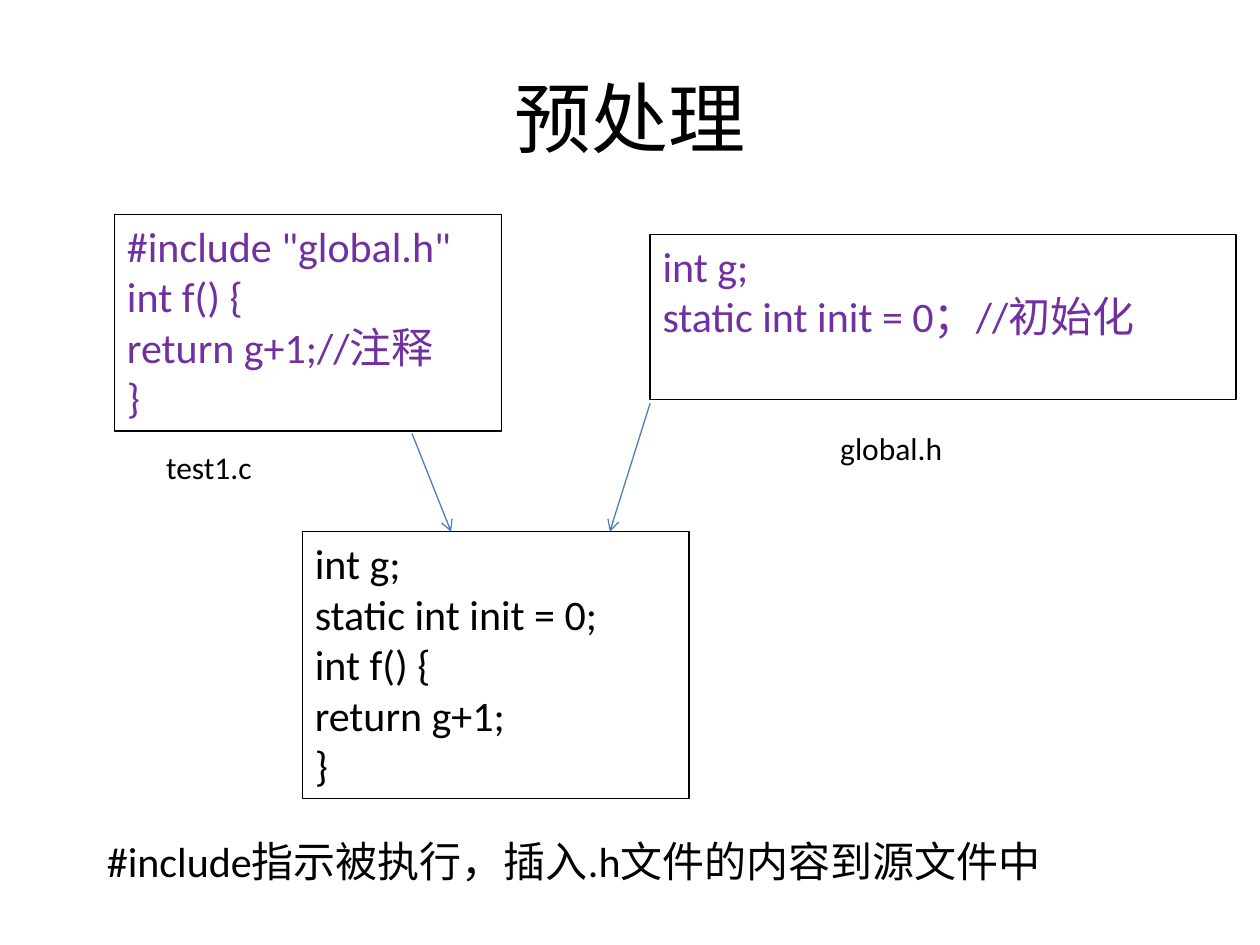
from dataclasses import dataclass

from lxml.etree import SubElement
from pptx import Presentation
from pptx.dml.color import RGBColor
from pptx.enum.shapes import MSO_CONNECTOR, MSO_SHAPE
from pptx.enum.text import MSO_ANCHOR, PP_ALIGN
from pptx.oxml.ns import qn
from pptx.util import Inches, Pt


@dataclass(frozen=True)
class Theme:
    font: str = "Calibri"
    black: RGBColor = RGBColor(0x00, 0x00, 0x00)
    purple: RGBColor = RGBColor(0x70, 0x30, 0xA0)
    blue: RGBColor = RGBColor(0x4B, 0x7E, 0xBC)
    title: int = 44
    body: int = 24
    label: int = 18
    line: float = 0.75


THEME = Theme()


def write(shape, text, size=THEME.body, color=THEME.black, align=PP_ALIGN.LEFT,
          anchor=MSO_ANCHOR.TOP, wrap=True):
    """Fill a shape with text, one paragraph per line."""
    tf = shape.text_frame
    tf.word_wrap = wrap
    tf.vertical_anchor = anchor
    for i, line in enumerate(text.split("\n")):
        p = tf.paragraphs[0] if i == 0 else tf.add_paragraph()
        p.alignment = align
        r = p.add_run()
        r.text = line
        r.font.name = THEME.font
        r.font.size = Pt(size)
        r.font.color.rgb = color


def add_text(s, box, text, **style):
    write(s.shapes.add_textbox(*map(Inches, box)), text, **style)


def add_code(s, box, code, color=THEME.black):
    sp = s.shapes.add_shape(MSO_SHAPE.RECTANGLE, *map(Inches, box))
    sp.shadow.inherit = False
    sp.fill.background()
    sp.line.color.rgb = THEME.black
    sp.line.width = Pt(THEME.line)
    write(sp, code, color=color)


def add_arrow(s, start, end):
    line = s.shapes.add_connector(MSO_CONNECTOR.STRAIGHT, *map(Inches, start + end))
    line.line.color.rgb = THEME.blue
    line.line.width = Pt(THEME.line)
    SubElement(line.line._get_or_add_ln(), qn("a:tailEnd"), type="arrow")
    SubElement(line._element.spPr, qn("a:effectLst"))


def add_source(s, box, code, name, name_box):
    """A source file: its code in a frame and its name below."""
    add_code(s, box, code, color=THEME.purple)
    add_text(s, name_box, name, size=THEME.label, wrap=False)


def main():
    prs = Presentation()
    prs.slide_width, prs.slide_height = Inches(10), Inches(7.5)
    s = prs.slides.add_slide(prs.slide_layouts[6])

    add_text(s, (0.5, 0.3, 9, 1.25), "预处理", size=THEME.title,
             align=PP_ALIGN.CENTER, anchor=MSO_ANCHOR.MIDDLE)
    add_source(s, (0.91, 1.7, 3.07, 1.72),
               '#include "global.h"\nint f() {\nreturn g+1;//注释\n}',
               "test1.c", (1.22, 3.51, 0.89, 0.4))
    add_source(s, (5.16, 1.86, 4.65, 1.31),
               "int g;\nstatic int init = 0；//初始化",
               "global.h", (6.57, 3.36, 1.02, 0.4))

    result = (2.4, 4.22, 3.07, 2.12)
    add_code(s, result,
             "int g;\nstatic int init = 0;\nint f() {\nreturn g+1;\n}")
    result_top = result[1]
    add_arrow(s, (3.27, 3.44), (3.58, result_top))
    add_arrow(s, (5.16, 3.2), (4.84, result_top))

    add_text(s, (0.75, 6.58, 8.11, 0.5),
             "#include指示被执行，插入.h文件的内容到源文件中")
    prs.save("out.pptx")


if __name__ == "__main__":
    main()
